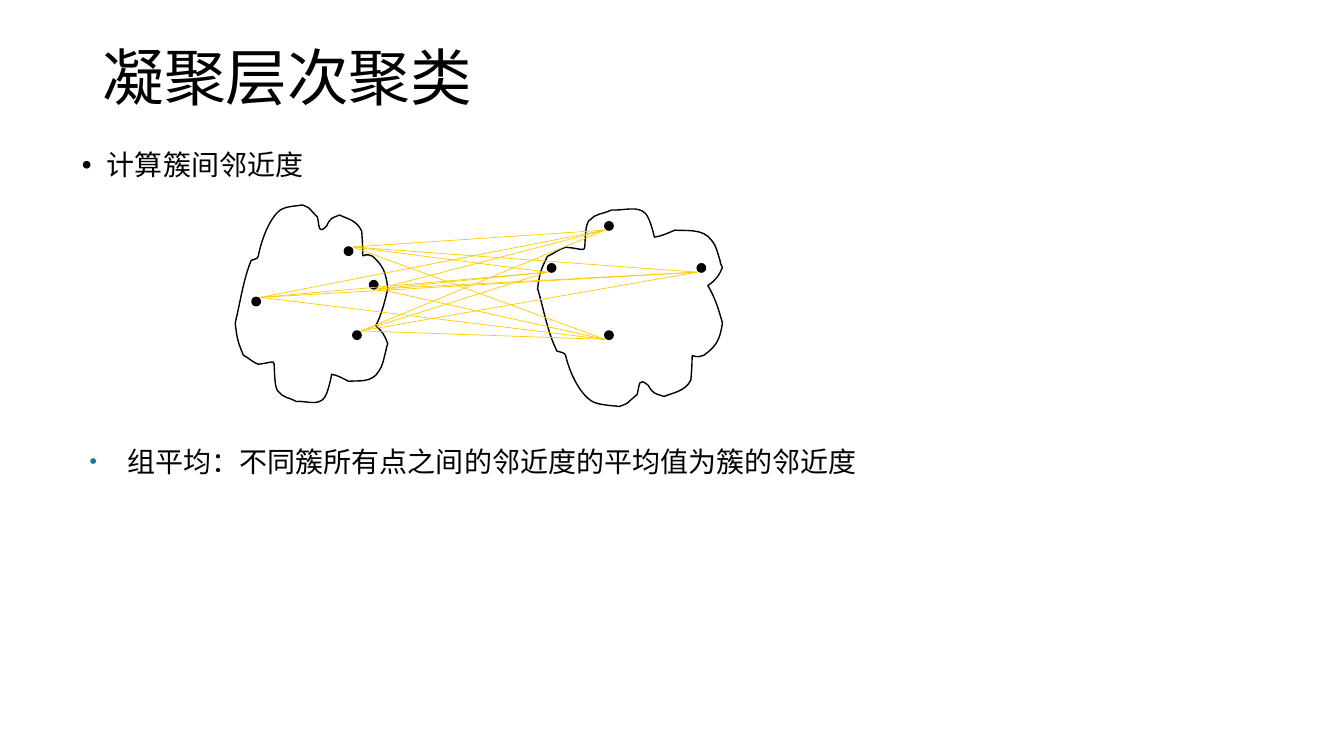
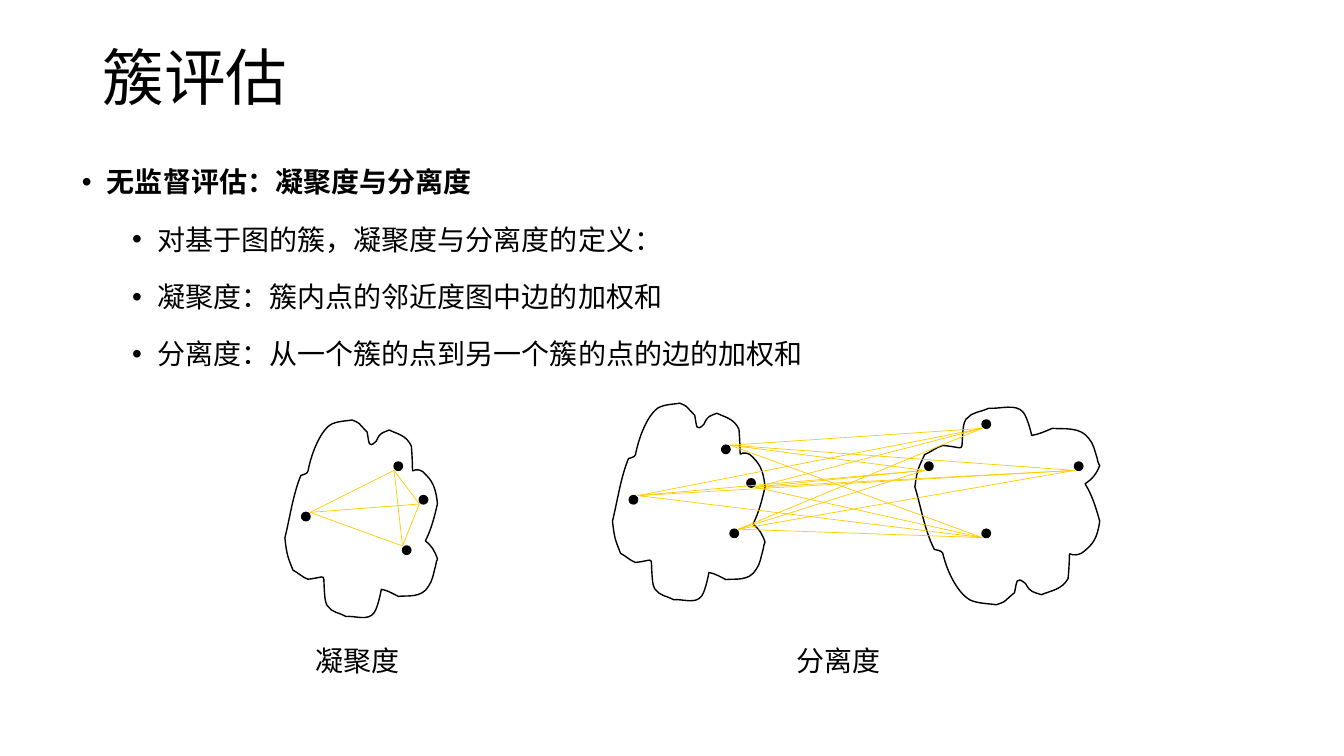
from itertools import combinations, product

from lxml.etree import SubElement
from pptx import Presentation
from pptx.dml.color import RGBColor
from pptx.enum.shapes import MSO_CONNECTOR, MSO_SHAPE
from pptx.enum.text import MSO_ANCHOR, PP_ALIGN
from pptx.oxml.ns import qn
from pptx.util import Pt

BLACK = RGBColor(0x00, 0x00, 0x00)
TEAL = RGBColor(0x0C, 0x7B, 0x9C)
YELLOW = RGBColor(0xFF, 0xCC, 0x00)
CJK, LATIN = "Noto Sans CJK SC", "Arial"

# Text styles: font, paragraph and bullet values
TITLE = dict(font=dict(name=CJK, size=Pt(44), bold=False),
             para=dict(line_spacing=0.9, alignment=PP_ALIGN.LEFT))
TOPIC = dict(font=dict(name=CJK, size=Pt(20)),
             para=dict(line_spacing=1.5), bullet=dict(margin=18, hang=18))
TOPIC_BOLD = {**TOPIC, "font": {**TOPIC["font"], "bold": True}}
DETAIL = dict(font=dict(name=CJK, size=Pt(20)),
              para=dict(level=1, line_spacing=1.5, space_before=Pt(5)),
              bullet=dict(margin=54, hang=18))
REMARK = dict(font=dict(name=LATIN, size=Pt(20)), para=dict(space_after=Pt(2)),
              bullet=dict(margin=27, hang=27, color=TEAL, percent=75))
CAPTION = dict(font=dict(name=LATIN, size=Pt(20)), para={})

# Content: text boxes as (left, top, width, height), wrap, paragraphs
SLIDES = [
    dict(
        title="凝聚层次聚类",
        texts=[
            ((51.3, 90, 857.5, 50), True, [("计算簇间邻近度", TOPIC)]),
            ((57, 314, 780.5, 102), True,
             [("组平均：不同簇所有点之间的邻近度的平均值为簇的邻近度", REMARK)]),
        ],
        separation=(168, 146.4),
    ),
    dict(
        title="簇评估",
        texts=[
            ((51.3, 102.2, 857.5, 432.7), True, [
                ("无监督评估：凝聚度与分离度", TOPIC_BOLD),
                ("对基于图的簇，凝聚度与分离度的定义：", DETAIL),
                ("凝聚度：簇内点的邻近度图中边的加权和", DETAIL),
                ("分离度：从一个簇的点到另一个簇的点的边的加权和", DETAIL),
            ]),
            ((218.2, 455.8, 75, 31.7), False, [("凝聚度", CAPTION)]),
            ((561.6, 455.8, 75, 31.7), False, [("分离度", CAPTION)]),
        ],
        separation=(437.5, 288),
        cohesion=(203.5, 300),
    ),
]

# Cluster outline in percent of its width and height: start, then Bezier curves
OUTLINE_START = (10.5, 27.5)
OUTLINE_CURVES = [
    ((5.3, 37), (3.3, 48.5), (0, 58.5)),
    ((1.3, 67.5), (2, 68), (5.3, 74.5)),
    ((9.2, 76), (11.2, 78), (15.1, 79)),
    ((28.9, 78), (24.3, 74.5), (26.3, 88.5)),
    ((26.3, 89.5), (27, 91), (27.6, 92)),
    ((32.2, 95.5), (28.9, 93.5), (33.6, 95.5)),
    ((36.2, 96), (40.1, 97.5), (40.1, 97.5)),
    ((46.1, 97), (54.6, 100), (58.6, 95.5)),
    ((61.2, 92.5), (63.2, 84), (63.2, 84)),
    ((67.1, 84.5), (70.4, 86), (74.3, 87.5)),
    ((80.3, 87), (89.5, 88.5), (94.1, 82.5)),
    ((96.7, 80), (97.4, 76), (98.7, 72.5)),
    ((98.7, 71), (100, 69), (100, 69)),
    ((98, 64.5), (96.1, 62.5), (92.1, 60)),
    ((96.1, 54), (98, 48), (100, 41.5)),
    ((98.7, 33), (96.7, 30), (90.1, 25.5)),
    ((80.9, 22), (84.9, 32.5), (82.9, 13)),
    ((79.6, 7.5), (73.7, 7), (68.4, 5)),
    ((63.8, 6.5), (62.5, 6), (59.9, 10.5)),
    ((54.6, 14.5), (55.3, 11.5), (53.9, 6)),
    ((46.7, 0.5), (50, 2), (44.1, 0)),
    ((41.4, 0.5), (33.6, 0.5), (29.6, 2.5)),
    ((22.4, 6.5), (17.1, 17.5), (15.1, 25.5)),
    ((14.5, 27), (11.8, 27), OUTLINE_START),
]

# Clusters: width, mirrored top to bottom, top-left corners of the points
CLUSTER_HEIGHT, DOT, CLUSTER_GAP = 144, 6, 216
LEFT_CLUSTER = dict(width=109, mirrored=False,
                    dots=[(84, 90), (78, 30), (12, 66), (96, 54)])
RIGHT_CLUSTER = dict(width=132, mirrored=True,
                     dots=[(114, 42), (7, 42), (48, 90), (48, 12)])
# Corner of each point, as offset, where its edges end
LEFT_ENDS = [(DOT, 0), (DOT, 0), (DOT, 0), (DOT, DOT)]
RIGHT_ENDS = [(0, DOT)] * 4
COHESION_ENDS = [(0, 0), (0, DOT), (DOT, 0), (0, DOT)]


def set_values(target, values):
    for name, value in values.items():
        setattr(target, name, value)


def add_bullet(paragraph, margin, hang, color=None, percent=100):
    props = paragraph._p.get_or_add_pPr()
    props.set("marL", str(Pt(margin)))
    props.set("indent", str(-Pt(hang)))
    if color is not None:
        SubElement(SubElement(props, qn("a:buClr")), qn("a:srgbClr")).set("val", str(color))
    SubElement(props, qn("a:buSzPct")).set("val", str(percent * 1000))
    SubElement(props, qn("a:buFont")).set("typeface", LATIN)
    SubElement(props, qn("a:buChar")).set("char", "•")


def write(paragraph, text, style):
    if "bullet" in style:
        add_bullet(paragraph, **style["bullet"])
    set_values(paragraph, style["para"])
    run = paragraph.add_run()
    run.text = text
    set_values(run.font, style["font"])
    run.font.color.rgb = BLACK
    east_asian = SubElement(run._r.get_or_add_rPr(), qn("a:ea"))
    east_asian.set("typeface", style["font"]["name"])


def add_title(slide, text):
    title = slide.shapes.title
    set_values(title, dict(left=Pt(66), top=Pt(5), width=Pt(828), height=Pt(104.4)))
    title.text_frame.vertical_anchor = MSO_ANCHOR.MIDDLE
    write(title.text_frame.paragraphs[0], text, TITLE)


def add_text(slide, box, wrap, lines):
    frame = slide.shapes.add_textbox(*map(Pt, box)).text_frame
    frame.word_wrap = wrap
    for index, (text, style) in enumerate(lines):
        paragraph = frame.add_paragraph() if index else frame.paragraphs[0]
        write(paragraph, text, style)


def bend_segments(outline):
    """Join every three straight segments into one Bezier curve."""
    segments = list(outline._element.iter(qn("a:lnTo")))
    for first, second, third in zip(*[iter(segments)] * 3):
        first.tag = qn("a:cubicBezTo")
        for segment in (second, third):
            first.append(segment[0])
            segment.getparent().remove(segment)


def add_cluster(slide, left, top, cluster):
    """Draw outline and points; return the points' corners on the slide."""
    spots = []
    for x, y in [OUTLINE_START, *(spot for curve in OUTLINE_CURVES for spot in curve)]:
        y = 100 - y if cluster["mirrored"] else y
        spots.append((Pt(left + x * cluster["width"] / 100),
                      Pt(top + y * CLUSTER_HEIGHT / 100)))
    builder = slide.shapes.build_freeform(*spots[0])
    builder.add_line_segments(spots[1:], close=True)
    outline = builder.convert_to_shape()
    bend_segments(outline)
    outline.fill.background()

    dots = [(left + x, top + y) for x, y in cluster["dots"]]
    shapes = [outline]
    for x, y in dots:
        dot = slide.shapes.add_shape(MSO_SHAPE.OVAL, Pt(x), Pt(y), Pt(DOT), Pt(DOT))
        dot.fill.solid()
        dot.fill.fore_color.rgb = BLACK
        shapes.append(dot)
    for shape in shapes:
        shape.shadow.inherit = False
        shape.line.color.rgb = BLACK
        shape.line.width = Pt(1)
    return dots


def edge_ends(dots, offsets):
    return [(x + dx, y + dy) for (x, y), (dx, dy) in zip(dots, offsets)]


def add_edges(slide, pairs):
    for start, end in pairs:
        edge = slide.shapes.add_connector(MSO_CONNECTOR.STRAIGHT,
                                          *map(Pt, (*start, *end)))
        edge.line.color.rgb = YELLOW
        edge.line.width = Pt(0.5)
        SubElement(edge._element.spPr, qn("a:effectLst"))


def add_separation(slide, left, top):
    left_dots = add_cluster(slide, left, top, LEFT_CLUSTER)
    right_dots = add_cluster(slide, left + CLUSTER_GAP, top, RIGHT_CLUSTER)
    add_edges(slide, product(edge_ends(left_dots, LEFT_ENDS),
                             edge_ends(right_dots, RIGHT_ENDS)))


def add_cohesion(slide, left, top):
    dots = add_cluster(slide, left, top, LEFT_CLUSTER)
    add_edges(slide, combinations(edge_ends(dots, COHESION_ENDS), 2))


def main():
    deck = Presentation()
    deck.slide_width, deck.slide_height = Pt(960), Pt(540)
    title_only = deck.slide_layouts[5]
    for content in SLIDES:
        slide = deck.slides.add_slide(title_only)
        add_title(slide, content["title"])
        for text in content["texts"]:
            add_text(slide, *text)
        add_separation(slide, *content["separation"])
        if "cohesion" in content:
            add_cohesion(slide, *content["cohesion"])
    deck.save("out.pptx")


if __name__ == "__main__":
    main()
